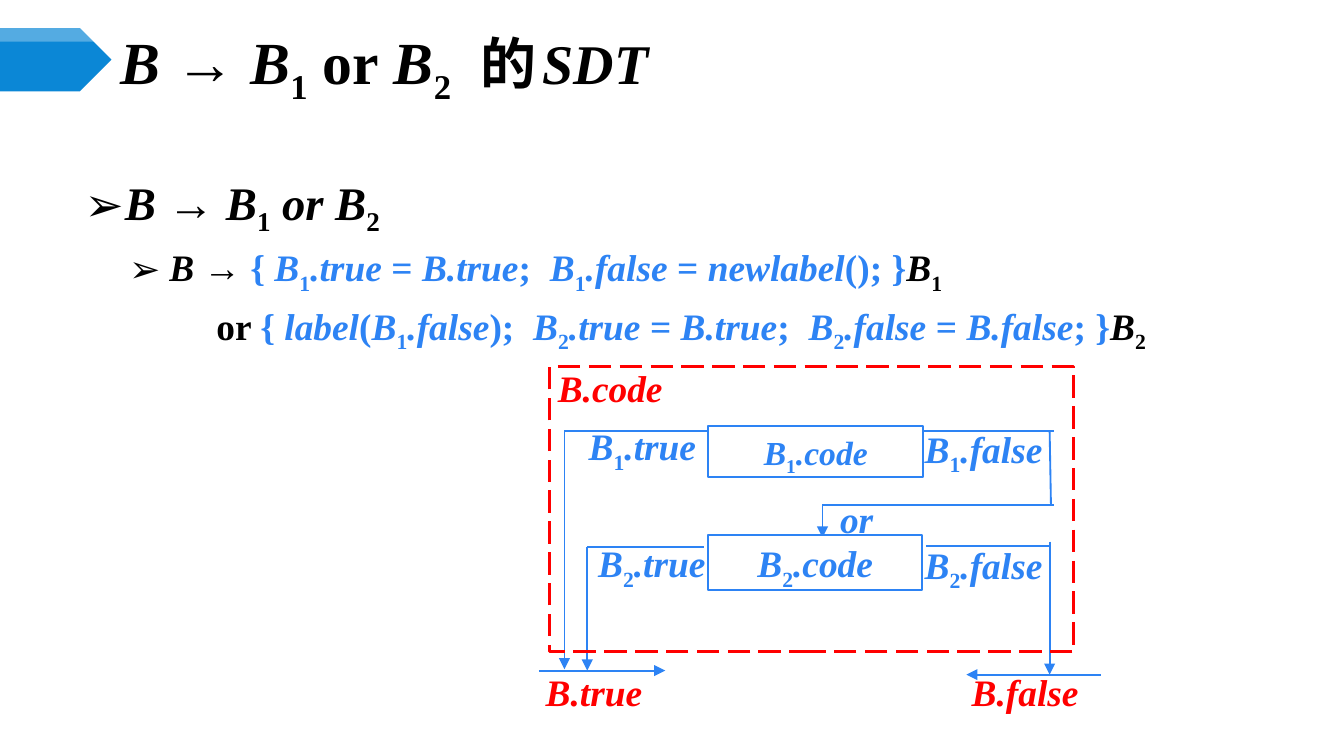
from dataclasses import dataclass
from lxml.etree import SubElement
from pptx import Presentation
from pptx.dml.color import RGBColor
from pptx.enum.dml import MSO_LINE
from pptx.enum.shapes import MSO_CONNECTOR, MSO_SHAPE
from pptx.enum.text import MSO_ANCHOR, MSO_AUTO_SIZE, PP_ALIGN
from pptx.oxml.ns import qn
from pptx.slide import Slide
from pptx.util import Inches, Pt

COLORS = {
    "black": "000000",
    "white": "FFFFFF",
    "blue": "2D83F4",
    "red": "FF0000",
    "banner": "0B87D6",
}


def color(name):
    return RGBColor.from_string(COLORS[name])


@dataclass
class SlideBuilder:
    slide: Slide
    latin_font: str = "Times New Roman"
    chinese_font: str = "Noto Sans CJK SC"
    line_width: float = 1

    def place(self, shape, left, top, width, height):
        shape.left, shape.top = Inches(left), Inches(top)
        shape.width, shape.height = Inches(width), Inches(height)

    def frame(self, shape, anchor=MSO_ANCHOR.TOP):
        text_frame = shape.text_frame
        text_frame.word_wrap = True
        text_frame.auto_size = MSO_AUTO_SIZE.NONE
        text_frame.vertical_anchor = anchor
        text_frame.margin_left = text_frame.margin_right = Inches(0.07)
        text_frame.margin_top = text_frame.margin_bottom = Inches(0.04)
        return text_frame

    def run(self, paragraph, text, size, color_name, italic=False, subscript=False):
        run = paragraph.add_run()
        run.text = text
        font = run.font
        font.name, font.size = self.latin_font, Pt(size)
        font.bold, font.italic = True, italic
        font.color.rgb = color(color_name)
        if subscript:
            font._element.set("baseline", "-25000")
        return run

    def formula(self, paragraph, markup, size, color_name):
        for i, part in enumerate(markup.split("*")):
            for j, piece in enumerate(part.split("_")):
                if piece:
                    self.run(paragraph, piece, size, color_name, i % 2 == 1, j % 2 == 1)

    def chinese(self, paragraph, text, size):
        run = self.run(paragraph, text, size, "black")
        run.font.name = self.chinese_font
        properties = run.font._element
        properties.set("spc", "300")
        SubElement(properties, qn("a:ea")).set("typeface", self.chinese_font)

    def indent(self, paragraph, margin, first_line, bullet=None):
        properties = paragraph._p.get_or_add_pPr()
        properties.set("marL", str(Inches(margin)))
        properties.set("indent", str(Inches(first_line)))
        if bullet:
            SubElement(properties, qn("a:buChar")).set("char", bullet)
        else:
            SubElement(properties, qn("a:buNone"))

    def shape(self, kind, box, fill=None, line=None, width=1, dash=None, alpha=None):
        shape = self.slide.shapes.add_shape(kind, *map(Inches, box))
        shape.shadow.inherit = False
        if fill:
            shape.fill.solid()
            shape.fill.fore_color.rgb = color(fill)
        else:
            shape.fill.background()
        if line:
            shape.line.color.rgb = color(line)
            shape.line.width = Pt(width)
            shape.line.dash_style = dash
        else:
            shape.line.fill.background()
        if alpha:
            fill_color = shape._element.spPr.find(qn("a:solidFill"))[0]
            SubElement(fill_color, qn("a:alpha")).set("val", str(alpha * 1000))
        return shape

    def code_box(self, box, markup, size):
        shape = self.shape(MSO_SHAPE.RECTANGLE, box, "white", "blue", self.line_width)
        paragraph = self.frame(shape).paragraphs[0]
        paragraph.alignment = PP_ALIGN.CENTER
        self.formula(paragraph, markup, size, "blue")

    def label(self, left, top, width, markup, color_name):
        box = self.slide.shapes.add_textbox(*map(Inches, (left, top, width, 0.41)))
        self.formula(self.frame(box).paragraphs[0], markup, 20, color_name)

    def line(self, x1, y1, x2, y2, arrow=False):
        connector = self.slide.shapes.add_connector(
            MSO_CONNECTOR.STRAIGHT, *map(Inches, (x1, y1, x2, y2)))
        connector.line.color.rgb = color("blue")
        connector.line.width = Pt(self.line_width)
        if arrow:
            SubElement(connector.line._get_or_add_ln(), qn("a:tailEnd")).set("type", "triangle")
        SubElement(connector._element.spPr, qn("a:effectLst"))


presentation = Presentation()
presentation.slide_width = Inches(10)
presentation.slide_height = Inches(10) * 9 // 16
slide = presentation.slides.add_slide(presentation.slide_layouts[1])
builder = SlideBuilder(slide)

builder.shape(MSO_SHAPE.PENTAGON, (0, 0.21, 0.83, 0.47), "banner")
builder.shape(MSO_SHAPE.PENTAGON, (0, 0.21, 0.83, 0.1), "white", alpha=30)

title = slide.shapes.title
builder.place(title, 0.83, 0.29, 8.67, 0.39)
heading = builder.frame(title, MSO_ANCHOR.MIDDLE).paragraphs[0]
heading.alignment = PP_ALIGN.LEFT
builder.formula(heading, "*B *→* B*_1_ or* B*_2_  ", 32, "black")
builder.chinese(heading, "的", 30)
builder.formula(heading, "*SDT*", 30, "black")

RULES = [
    (0, 25, 0.3, -0.3, "➢", [("black", "*B *→* B*_1_* or B*_2_")]),
    (1, 20, 0.63, -0.3, "➢", [
        ("black", "*B* → "),
        ("blue", "{ *B*_1_*.true *= *B.true*;  *B*_1_*.false *= *newlabel*(); }"),
        ("black", "*B*_1_"),
    ]),
    (1, 20, 0.98, 0, None, [
        ("black", "or "),
        ("blue", "{ *label*(*B*_1_*.false*);  *B*_2_*.true *= *B.true*;  "
                 "*B*_2_*.false *= *B.false*; }"),
        ("black", "*B*_2_"),
    ]),
]
body = slide.placeholders[1]
builder.place(body, 0.56, 1.25, 8.61, 3.53)
body_frame = builder.frame(body)
for index, (level, size, margin, first_line, bullet, parts) in enumerate(RULES):
    paragraph = body_frame.add_paragraph() if index else body_frame.paragraphs[0]
    paragraph.level = level
    builder.indent(paragraph, margin, first_line, bullet)
    for color_name, markup in parts:
        builder.formula(paragraph, markup, size, color_name)

for label in [
    (7.16, 4.94, 1.3, "*B.false*", "red"),
    (3.99, 4.94, 1.12, "*B.true*", "red"),
    (4.08, 2.68, 0.99, "*B.code*", "red"),
    (6.81, 3.13, 1.28, "*B*_1_*.false*", "blue"),
    (6.81, 3.99, 1.42, "*B*_2_*.false*", "blue"),
    (4.31, 3.11, 1.05, "*B*_1_*.true*", "blue"),
    (4.38, 3.98, 1.29, "*B*_2_*.true*", "blue"),
    (6.18, 3.65, 0.41, "*or*", "blue"),
]:
    builder.label(*label)

for segment in [
    (4.2, 3.21, 5.39, 3.21),
    (6.83, 3.21, 7.84, 3.21),
    (7.82, 3.76, 7.81, 3.21),
    (7.84, 3.76, 6.12, 3.76),
    (4.37, 4.07, 5.24, 4.07),
    (6.89, 4.06, 7.81, 4.06),
]:
    builder.line(*segment)
for arrow in [
    (4.2, 3.21, 4.2, 4.98),
    (4.37, 4.07, 4.37, 4.99),
    (6.12, 3.76, 6.12, 4),
    (7.81, 4.03, 7.81, 5.02),
    (4.01, 4.99, 4.95, 4.99),
    (8.19, 5.02, 7.19, 5.02),
]:
    builder.line(*arrow, arrow=True)

builder.shape(MSO_SHAPE.RECTANGLE, (4.09, 2.73, 3.9, 2.12), line="red", width=1.5,
              dash=MSO_LINE.LONG_DASH)
builder.code_box((5.27, 3.17, 1.6, 0.38), "*B*_1_*.code*", 18)
builder.code_box((5.27, 3.98, 1.59, 0.41), "*B*_2_*.code*", 20)

presentation.save("out.pptx")
